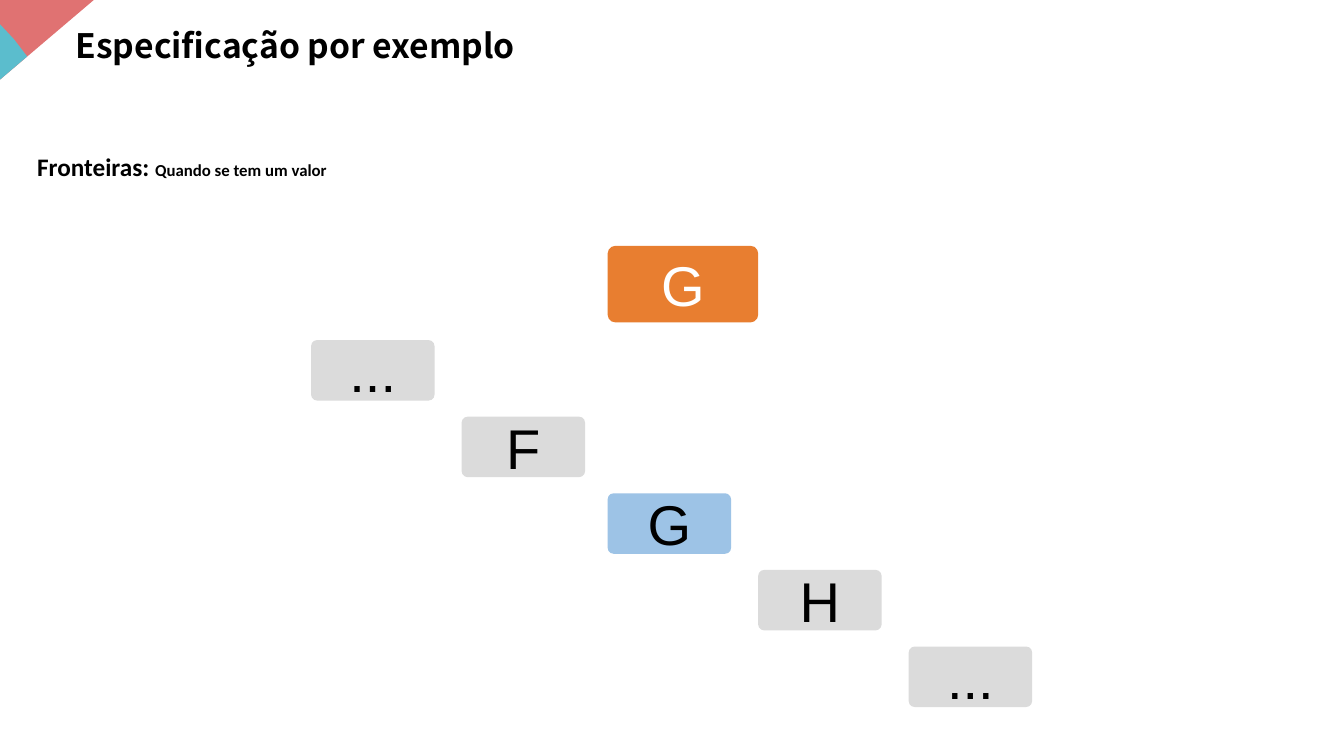
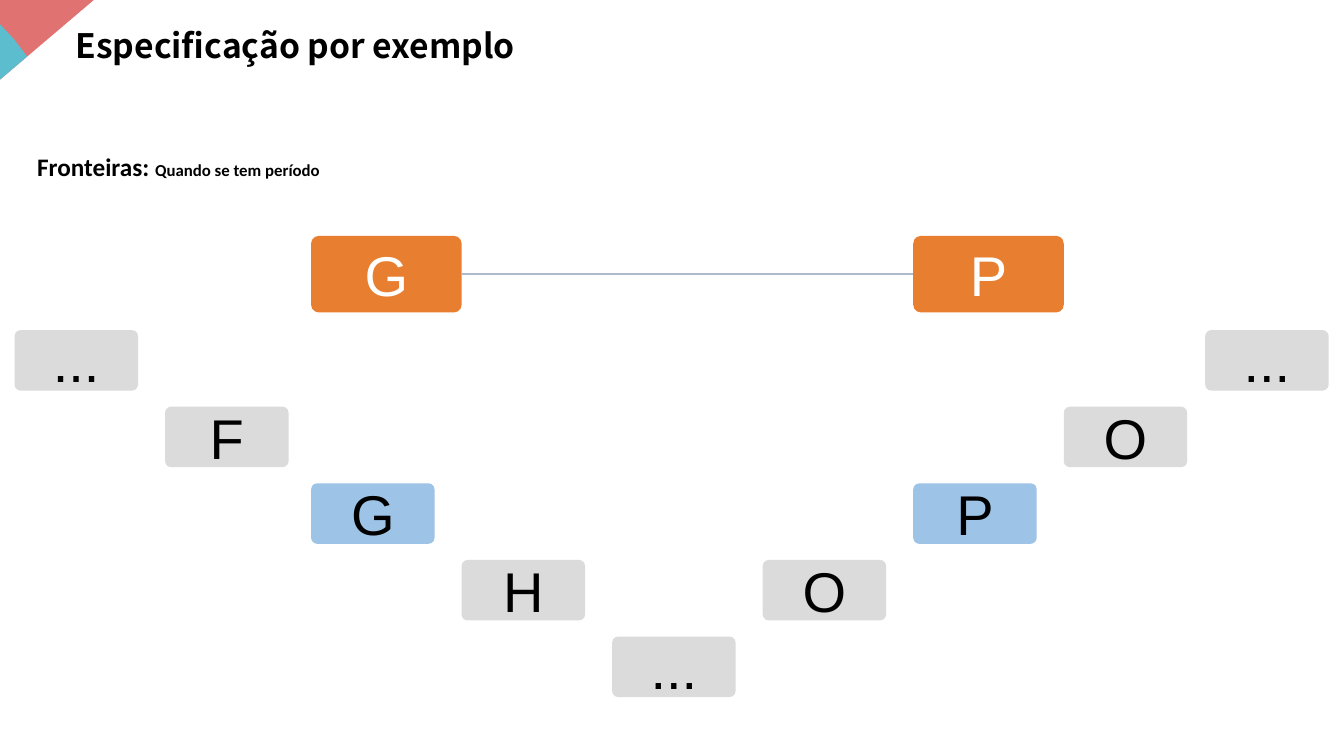
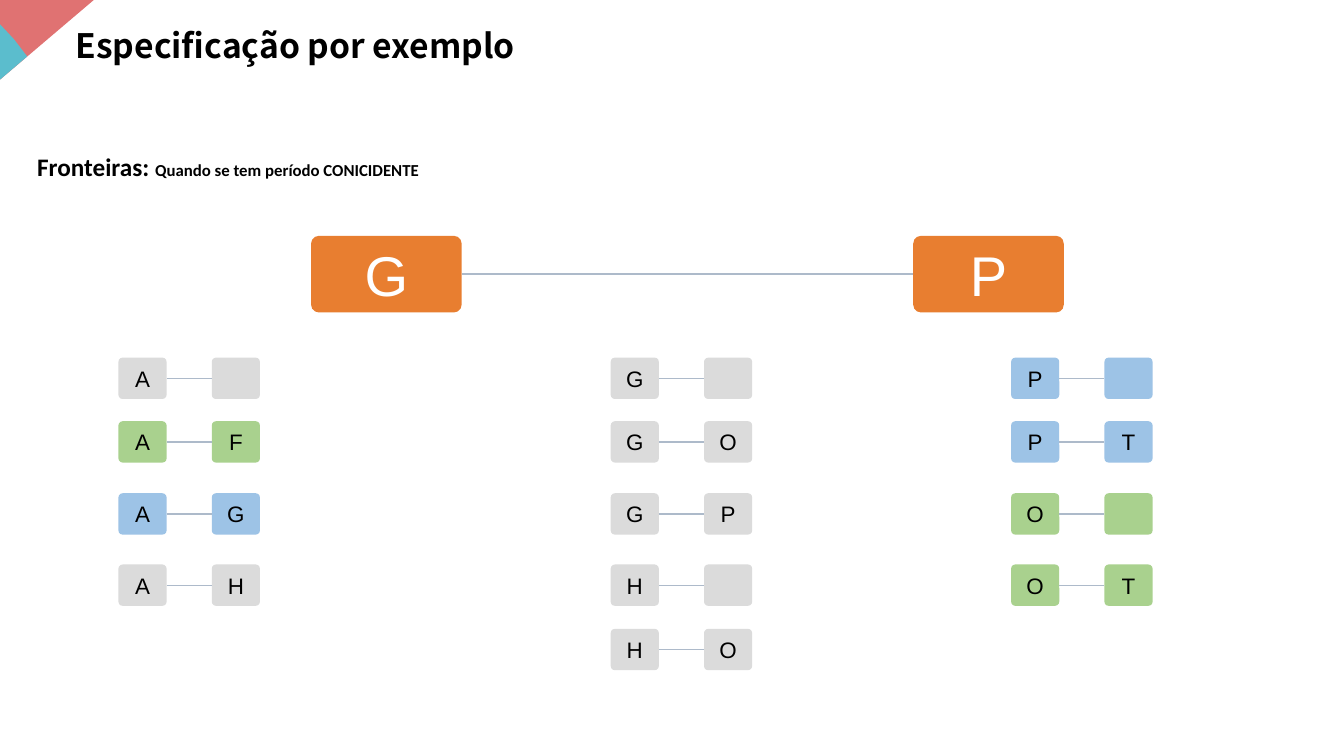
from lxml import etree
from pptx import Presentation
from pptx.dml.color import RGBColor
from pptx.enum.shapes import MSO_CONNECTOR, MSO_SHAPE
from pptx.enum.text import MSO_ANCHOR, MSO_AUTO_SIZE, PP_ALIGN
from pptx.oxml.ns import qn
from pptx.util import Inches, Pt

ORANGE, BLUE, GREEN, GRAY = "E87E30", "9DC3E6", "A9D18E", "DBDBDB"
CORAL, TEAL, RULE = "E07272", "5BBDCD", "ADBACA"
BLACK, WHITE = "000000", "FFFFFF"
WIDTH, HEIGHT = 13.33, 7.5
COL, ROW = WIDTH * 0.112, 0.76
LEFT, TOP = 0.1, 2.34
HEAD, STEP, SMALL = (1, 1), (0.82, 0.79), (0.32, 0.54)
FIRST_STEP = 1.23
PAIR_GAP = 0.62
PAIR_ROWS = (1.59, 2.42, 3.36, 4.29, 5.13)


def color(value):
    """Turn a hex string into a colour."""
    return RGBColor.from_string(value)


class Deck:
    """Hold the presentation, its style and the current slide."""

    def __init__(self):
        """Start an empty presentation."""
        self.prs = Presentation()
        self.prs.slide_width, self.prs.slide_height = Inches(WIDTH), Inches(HEIGHT)

    def cell(self, col, row):
        """Return the position of a grid point."""
        return Inches(LEFT + col * COL), Inches(TOP + row * ROW)

    def paint(self, sp, fill):
        """Give a shape a flat fill without outline or shadow."""
        sp.shadow.inherit = False
        sp.fill.solid()
        sp.fill.fore_color.rgb = color(fill)
        sp.line.fill.background()

    def style(self, r, size, font, ink=BLACK, bold=False):
        """Format a run."""
        r.font.size, r.font.name, r.font.bold = Pt(size), font, bold
        r.font.color.rgb = color(ink)

    def slide(self, title, topic, detail):
        """Add a slide with its corner, title and heading."""
        self.s = self.prs.slides.add_slide(self.prs.slide_layouts[5])
        self.corner()
        self.title(title)
        self.heading(topic, detail)

    def corner(self):
        """Draw the two-colour corner."""
        sp = self.s.shapes.add_shape(
            MSO_SHAPE.RIGHT_TRIANGLE, Inches(0.07), Inches(-0.07), Inches(0.79), Inches(0.93))
        sp.rotation = 90
        self.paint(sp, CORAL)
        outline = self.s.shapes.build_freeform(0, 24, scale=Inches(0.01))
        outline.add_line_segments([(14, 39), (27, 56), (0, 79)])
        self.paint(outline.convert_to_shape(), TEAL)

    def title(self, text):
        """Place and format the title placeholder."""
        sp = self.s.shapes.title
        sp.left, sp.top, sp.width, sp.height = map(Inches, (0.65, 0.2, 4.97, 0.5))
        tf = sp.text_frame
        tf.text = text
        tf.word_wrap = True
        tf.auto_size = MSO_AUTO_SIZE.SHAPE_TO_FIT_TEXT
        tf.vertical_anchor = MSO_ANCHOR.TOP
        p = tf.paragraphs[0]
        p.alignment = PP_ALIGN.LEFT
        self.style(p.runs[0], 24, "Noto Sans CJK SC", bold=True)

    def heading(self, topic, detail):
        """Write a large topic followed by a smaller detail."""
        sp = self.s.shapes.add_textbox(*map(Inches, (0.27, 1.45, 9.51, 0.4)))
        tf = sp.text_frame
        tf.word_wrap = True
        tf.auto_size = MSO_AUTO_SIZE.SHAPE_TO_FIT_TEXT
        for text, size in ((topic, 18), (detail, 12)):
            r = tf.paragraphs[0].add_run()
            r.text = text
            self.style(r, size, "Calibri", bold=True)

    def box(self, col, row, cells, text, fill, size=40, ink=BLACK):
        """Draw a rounded box with an optional label."""
        sp = self.s.shapes.add_shape(
            MSO_SHAPE.ROUNDED_RECTANGLE, *self.cell(col, row),
            Inches(cells[0] * COL), Inches(cells[1] * ROW))
        sp.adjustments[0] = 0.1
        self.paint(sp, fill)
        if text:
            tf = sp.text_frame
            tf.text = text
            tf.word_wrap = True
            tf.vertical_anchor = MSO_ANCHOR.MIDDLE
            p = tf.paragraphs[0]
            p.alignment = PP_ALIGN.CENTER
            self.style(p.runs[0], size, "Arial", ink)

    def rule(self, start, end, row):
        """Draw a horizontal line between two columns."""
        line = self.s.shapes.add_connector(
            MSO_CONNECTOR.STRAIGHT, *self.cell(start, row), *self.cell(end, row))
        line.line.color.rgb = color(RULE)
        line.line.width = Pt(1)
        etree.SubElement(line._element.spPr, qn("a:effectLst"))

    def head(self, col, row, text):
        """Draw a boundary value."""
        self.box(col, row, HEAD, text, ORANGE, ink=WHITE)

    def period(self):
        """Draw the two joined boundaries of a period."""
        self.head(2, 0, "G")
        self.head(6, 0, "P")
        self.rule(3, 6, 0.5)

    def stairs(self, cols, labels, top=0):
        """Draw one box per row, with the boundary on the third."""
        for i, (col, text) in enumerate(zip(cols, labels)):
            self.box(col, top + FIRST_STEP + i, STEP, text, BLUE if i == 2 else GRAY)

    def falling(self, col, top=0):
        """Draw the stairs that fall through G at a column."""
        self.stairs([col + d for d in (-1.97, -0.97, 0, 1, 2)],
                    ("...", "F", "G", "H", "..."), top)

    def pairs(self, col, rows):
        """Draw a column of joined pairs."""
        for row, (labels, fill) in zip(PAIR_ROWS, rows):
            for i, text in enumerate(labels):
                self.box(col + i * PAIR_GAP, row, SMALL, text, fill, 16)
            self.rule(col + SMALL[0], col + PAIR_GAP, row + SMALL[1] / 2)


TITLE, TOPIC = "Especificação por exemplo", "Fronteiras: "
deck = Deck()

deck.slide(TITLE, TOPIC, "Quando se tem um valor")
deck.head(3.97, 0.13, "G")
deck.falling(3.97, 0.13)

deck.slide(TITLE, TOPIC, "Quando se tem período")
deck.period()
deck.falling(2)
deck.stairs((7.94, 7, 6, 5), ("...", "O", "P", "O"))

deck.slide(TITLE, TOPIC, "Quando se tem período CONICIDENTE")
deck.period()
deck.pairs(0.72, [(("A", ""), GRAY), ("AF", GREEN), ("AG", BLUE), ("AH", GRAY)])
deck.pairs(3.99, [(("G", ""), GRAY), ("GO", GRAY), ("GP", GRAY), (("H", ""), GRAY), ("HO", GRAY)])
deck.pairs(6.65, [(("P", ""), BLUE), ("PT", BLUE), (("O", ""), GREEN), ("OT", GREEN)])

deck.prs.save("out.pptx")
